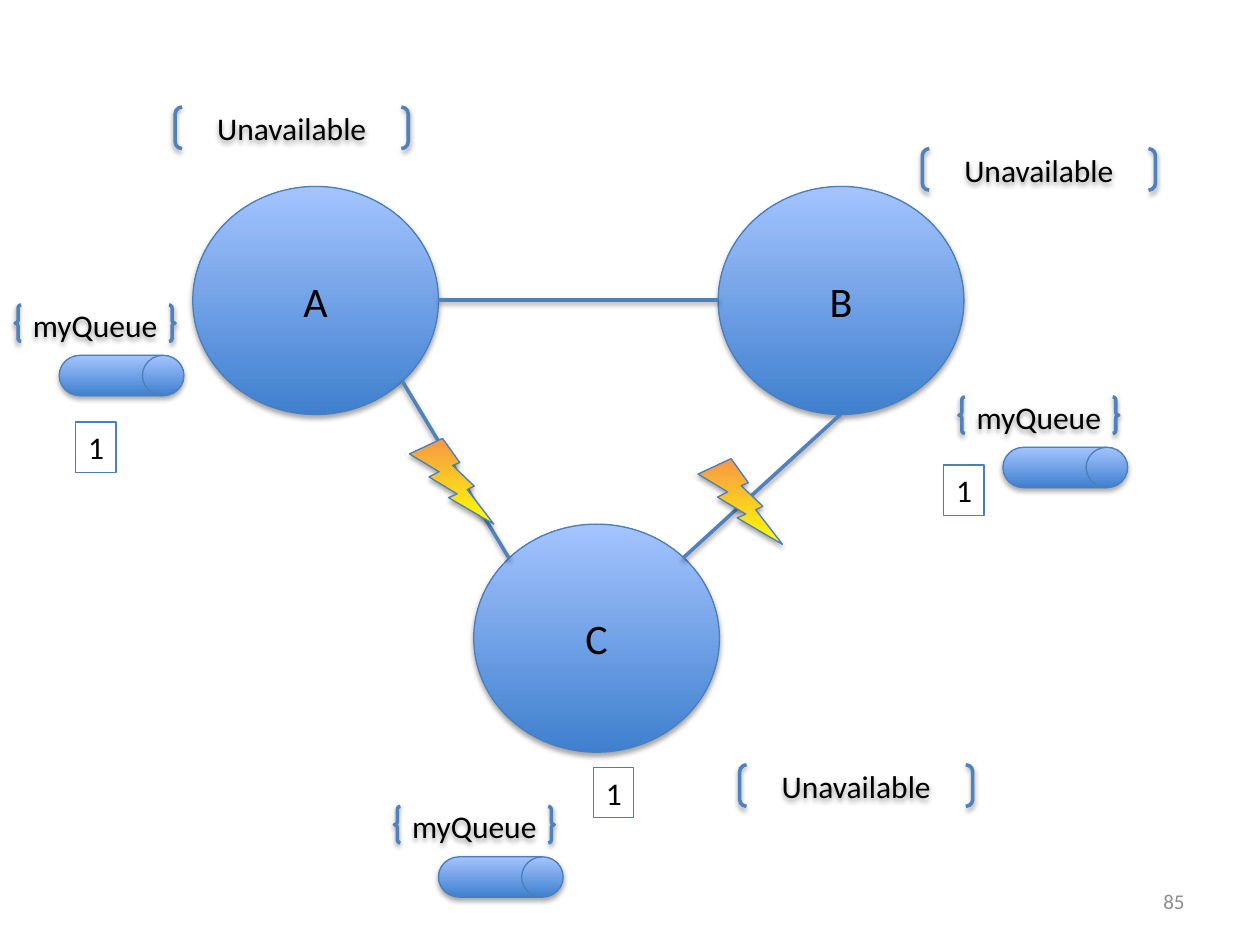
"""Build a slide of three queue nodes whose links to node C have failed."""
from lxml import etree
from pptx import Presentation
from pptx.dml.color import RGBColor
from pptx.enum import shapes, text
from pptx.util import Inches, Pt

BLACK = RGBColor(0, 0, 0)
GRAY = RGBColor(0x8C, 0x8C, 0x8C)
BLUE = RGBColor(0x4F, 0x81, 0xBD)
EDGE = RGBColor(0x4B, 0x7E, 0xBC)
BLUES = (RGBColor(0x3F, 0x80, 0xCE), RGBColor(0xA4, 0xC4, 0xFF))
FLAMES = (RGBColor(0xFF, 0xFF, 0x00), RGBColor(0xF7, 0x96, 0x46))
KIND = shapes.MSO_SHAPE
SHADOW = (
    '<a:effectLst xmlns:a="http://schemas.openxmlformats.org/drawingml/2006/main">'
    '<a:outerShdw blurRad="{blur}" dist="{dist}" dir="5400000" rotWithShape="0">'
    '<a:srgbClr val="000000"><a:alpha val="{alpha}000"/></a:srgbClr>'
    '</a:outerShdw></a:effectLst>'
)


def write(shape, words, size, color=BLACK, align=text.PP_ALIGN.CENTER, anchor=text.MSO_ANCHOR.MIDDLE):
    frame = shape.text_frame
    frame.word_wrap = False
    frame.vertical_anchor = anchor
    para = frame.paragraphs[0]
    para.text = words
    para.alignment = align
    look = {"name": "Calibri", "size": Pt(size)}
    for key, value in look.items():
        setattr(para.font, key, value)
    para.font.color.rgb = color


def draw(kind, left, top, width, height, colors=None):
    shape = page.shapes.add_shape(kind, Inches(left), Inches(top), Inches(width), Inches(height))
    if colors:
        shape.fill.gradient()
        shape.fill.gradient_angle = 90
        for stop, color in zip(shape.fill.gradient_stops, colors):
            stop.color.rgb = color
    else:
        shape.fill.background()
    shape.line.color.rgb = EDGE if colors else BLUE
    shape.line.width = Pt(0.75 if colors else 2)
    effect = SHADOW.format(blur=Pt(3.1), dist=Pt(1.8 if colors else 1.6), alpha=35 if colors else 38)
    shape.element.spPr.append(etree.fromstring(effect))
    return shape


deck = Presentation()
deck.slide_width, deck.slide_height = Inches(10), Inches(7.5)
page = deck.slides.add_slide(deck.slide_layouts[6])

number = page.shapes.add_textbox(Inches(7.17), Inches(6.95), Inches(2.33), Inches(0.4))
write(number, "85", 12, GRAY, text.PP_ALIGN.RIGHT)

for name, left, top in (("A", 1.53, 1.48), ("B", 5.7, 1.48), ("C", 3.76, 4.16)):
    write(draw(KIND.OVAL, left, top, 1.95, 1.81, BLUES), name, 24)

for left, top in ((0.12, 2.42), (3.13, 6.4), (7.61, 3.15)):
    draw(KIND.FLOWCHART_DIRECT_ACCESS_STORAGE, left + 0.35, top + 0.4, 0.99, 0.32, BLUES)
    write(draw(KIND.DOUBLE_BRACE, left, top, 1.27, 0.29), "myQueue", 18)

links = ((4.04, 4.43, 3.19, 3.02), (5.42, 4.43, 6.67, 3.29), (3.48, 2.38, 5.7, 2.38))
for ends in links:
    link = page.shapes.add_connector(shapes.MSO_CONNECTOR.STRAIGHT, *map(Inches, ends))
    link.line.color.rgb = BLUE
    link.line.width = Pt(2)
    effect = SHADOW.format(blur=Pt(3.1), dist=Pt(1.6), alpha=38)
    link.element.spPr.append(etree.fromstring(effect))

for left, top in ((0.6, 3.35), (7.49, 3.69), (4.71, 6.09)):
    count = page.shapes.add_textbox(Inches(left), Inches(top), Inches(0.32), Inches(0.4))
    count.line.color.rgb = EDGE
    count.line.width = Pt(0.75)
    write(count, "1", 18, align=text.PP_ALIGN.LEFT, anchor=text.MSO_ANCHOR.TOP)
    count.text_frame.auto_size = text.MSO_AUTO_SIZE.SHAPE_TO_FIT_TEXT

for left, top in ((5.54, 3.64), (3.25, 3.48)):
    draw(KIND.LIGHTNING_BOLT, left, top, 0.67, 0.68, FLAMES)

for left, top in ((5.87, 6.07), (1.39, 0.85), (7.32, 1.18)):
    write(draw(KIND.DOUBLE_BRACKET, left, top, 1.85, 0.33), "Unavailable", 18)

deck.save("out.pptx")
